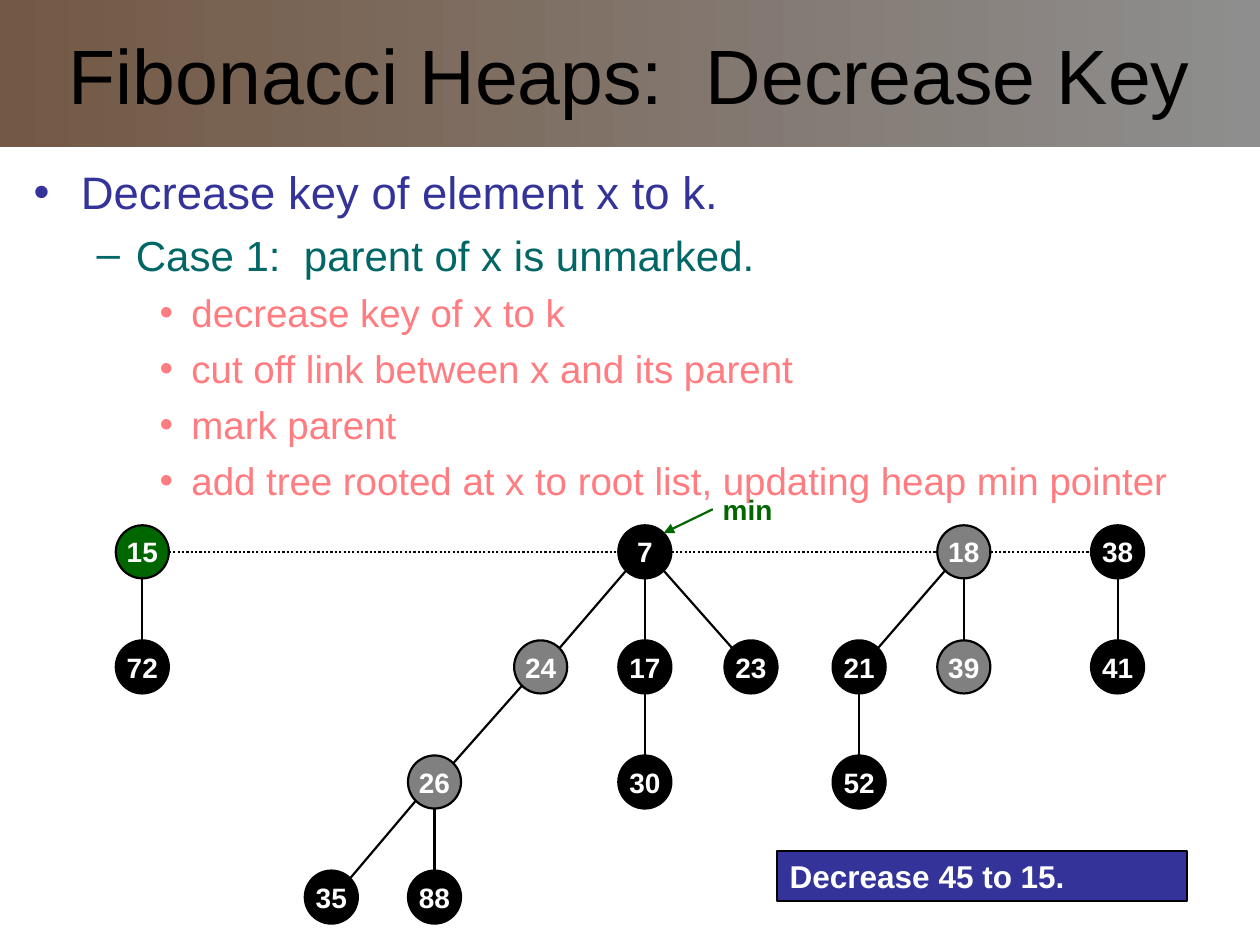
from lxml import etree
from pptx import Presentation
from pptx import util as u
from pptx.dml.color import RGBColor
from pptx.enum import dml, shapes, text
from pptx.oxml.ns import qn

FONT = "Arial"
BLACK, GRAY, GREEN, NAVY, WHITE = "000000", "808080", "006600", "333399", "FFFFFF"
DIAMETER = 1.07
ROW_PITCH = 2.32

# level: bullet, text indent and hanging indent in cm, size, space before, colour
LEVELS = {
    0: ("•", 0.95, 0.95, 26, 0, NAVY),
    1: ("–", 2.06, 0.79, 24, 6, "006666"),
    2: ("•", 3.18, 0.64, 22, 5.5, "FF7C80"),
}
BODY = [
    (0, "Decrease key of element x to k."),
    (1, "Case 1:  parent of x is unmarked."),
    (2, "decrease key of x to k"),
    (2, "cut off link between x and its parent"),
    (2, "mark parent"),
    (2, "add tree rooted at x to root list, updating heap min pointer"),
]

# key: centre x in cm within the heap, depth, parent key, fill
NODES = {
    15: (0.53, 0, None, GREEN),
    7: (10.66, 0, None, BLACK),
    18: (17.09, 0, None, GRAY),
    38: (20.19, 0, None, BLACK),
    72: (0.53, 1, 15, BLACK),
    24: (8.56, 1, 7, GRAY),
    17: (10.66, 1, 7, BLACK),
    23: (12.8, 1, 7, BLACK),
    21: (14.98, 1, 18, BLACK),
    39: (17.09, 1, 18, GRAY),
    41: (20.19, 1, 38, BLACK),
    26: (6.42, 2, 24, GRAY),
    30: (10.66, 2, 17, BLACK),
    52: (14.98, 2, 21, BLACK),
    35: (4.34, 3, 26, BLACK),
    88: (6.42, 3, 26, BLACK),
}


def color(hex_value):
    return RGBColor.from_string(hex_value)


def set_frame(frame, **options):
    values = dict(word_wrap=True, auto_size=text.MSO_AUTO_SIZE.NONE,
                  vertical_anchor=text.MSO_ANCHOR.MIDDLE,
                  margin_left=u.Cm(0.25), margin_right=u.Cm(0.25),
                  margin_top=u.Cm(0.13), margin_bottom=u.Cm(0.13))
    for name, value in {**values, **options}.items():
        setattr(frame, name, value)


def write(paragraph, words, size, hex_value, bold=False,
          align=text.PP_ALIGN.LEFT):
    paragraph.alignment = align
    run = paragraph.add_run()
    run.text = words
    for name, value in dict(name=FONT, size=u.Pt(size), bold=bold).items():
        setattr(run.font, name, value)
    run.font.color.rgb = color(hex_value)


def add_box(slide, kind, left, top, width, height, fill):
    shape = slide.shapes.add_shape(kind, *map(u.Cm, (left, top, width, height)))
    shape.shadow.inherit = False
    shape.fill.solid()
    shape.fill.fore_color.rgb = color(fill)
    shape.line.color.rgb = color(BLACK)
    shape.line.width = u.Pt(1.25)
    return shape


def add_line(slide, start, end, hex_value=BLACK, dotted=False, arrow=False):
    line = slide.shapes.add_connector(
        shapes.MSO_CONNECTOR.STRAIGHT, *map(u.Cm, (*start, *end)))
    line.line.color.rgb = color(hex_value)
    line.line.width = u.Pt(1.25)
    if dotted:
        line.line.dash_style = dml.MSO_LINE.ROUND_DOT
    if arrow:
        etree.SubElement(line.line._get_or_add_ln(), qn("a:tailEnd"),
                         type="triangle")
    etree.SubElement(line._element.spPr, qn("a:effectLst"))


def add_bullet(paragraph, bullet, indent, hanging, hex_value):
    properties = paragraph._p.get_or_add_pPr()
    properties.set("marL", str(u.Cm(indent)))
    properties.set("indent", str(-u.Cm(hanging)))
    bullet_color = etree.SubElement(properties, qn("a:buClr"))
    etree.SubElement(bullet_color, qn("a:srgbClr"), val=hex_value)
    etree.SubElement(properties, qn("a:buFont"), typeface=FONT)
    etree.SubElement(properties, qn("a:buChar"), char=bullet)


def place_title(slide, left, top, width, height):
    title = slide.shapes.title
    box = dict(left=left, top=top, width=width, height=height)
    for name, value in box.items():
        setattr(title, name, u.Cm(value))
    title.fill.gradient()
    title.fill.gradient_angle = 0
    for stop, position, hex_value in zip(title.fill.gradient_stops, (0, 1),
                                         ("735945", "8E8E8E")):
        stop.position = position
        stop.color.rgb = color(hex_value)
    set_frame(title.text_frame)
    write(title.text_frame.paragraphs[0], "Fibonacci Heaps:  Decrease Key",
          44, BLACK, align=text.PP_ALIGN.CENTER)


def place_body(slide, left, top, width, height):
    body = slide.shapes.add_textbox(*map(u.Cm, (left, top, width, height)))
    frame = body.text_frame
    set_frame(frame, vertical_anchor=text.MSO_ANCHOR.TOP)
    for index, (level, words) in enumerate(BODY):
        paragraph = frame.add_paragraph() if index else frame.paragraphs[0]
        bullet, indent, hanging, size, before, hex_value = LEVELS[level]
        paragraph.level = level
        add_bullet(paragraph, bullet, indent, hanging, hex_value)
        paragraph.space_before = u.Pt(before)
        write(paragraph, words, size, hex_value)


def place_heap(slide, left, top):
    radius = DIAMETER / 2
    diagonal = radius * 0.71
    centers = {key: (left + x, top + radius + depth * ROW_PITCH)
               for key, (x, depth, _, _) in NODES.items()}

    # Root list
    roots = [key for key, node in NODES.items() if node[1] == 0]
    for first, second in zip(roots, roots[1:]):
        (x1, y), (x2, _) = centers[first], centers[second]
        add_line(slide, (x1 + radius, y), (x2 - radius, y), dotted=True)

    # Links from parents to children
    for key, (_, _, parent, _) in NODES.items():
        if parent is None:
            continue
        (x1, y1), (x2, y2) = centers[parent], centers[key]
        side = (x2 > x1) - (x2 < x1)
        dx, dy = side * diagonal, diagonal if side else radius
        add_line(slide, (x1 + dx, y1 + dy), (x2 - dx, y2 - dy))

    # Nodes
    for key, (x, y) in centers.items():
        node = add_box(slide, shapes.MSO_SHAPE.OVAL, x - radius, y - radius,
                       DIAMETER, DIAMETER, NODES[key][3])
        set_frame(node.text_frame, word_wrap=False)
        write(node.text_frame.paragraphs[0], str(key), 16, WHITE, True,
              text.PP_ALIGN.CENTER)

    # Pointer to the minimum
    x, y = centers[7]
    add_line(slide, (x + 1.37, y - 0.86), (x + diagonal, y - diagonal),
             GREEN, arrow=True)
    label = slide.shapes.add_textbox(
        *map(u.Cm, (x + 1.57, y - 1.4, 1.2, DIAMETER)))
    set_frame(label.text_frame, word_wrap=False, margin_left=0, margin_right=0)
    write(label.text_frame.paragraphs[0], "min", 16, GREEN, True)


def place_caption(slide, left, top, width, height):
    caption = add_box(slide, shapes.MSO_SHAPE.RECTANGLE,
                      left, top, width, height, NAVY)
    set_frame(caption.text_frame)
    write(caption.text_frame.paragraphs[0], "Decrease 45 to 15.", 18, WHITE, True)


def main():
    presentation = Presentation()
    presentation.slide_width = u.Cm(25.4)
    presentation.slide_height = u.Cm(19.05)
    slide = presentation.slides.add_slide(presentation.slide_layouts[5])
    place_title(slide, 0, 0, 25.4, 2.97)
    place_body(slide, 0.43, 3.18, 24.56, 13.84)
    place_heap(slide, 2.34, 10.59)
    place_caption(slide, 15.67, 17.15, 8.26, 1.02)
    presentation.save("out.pptx")


if __name__ == "__main__":
    main()
